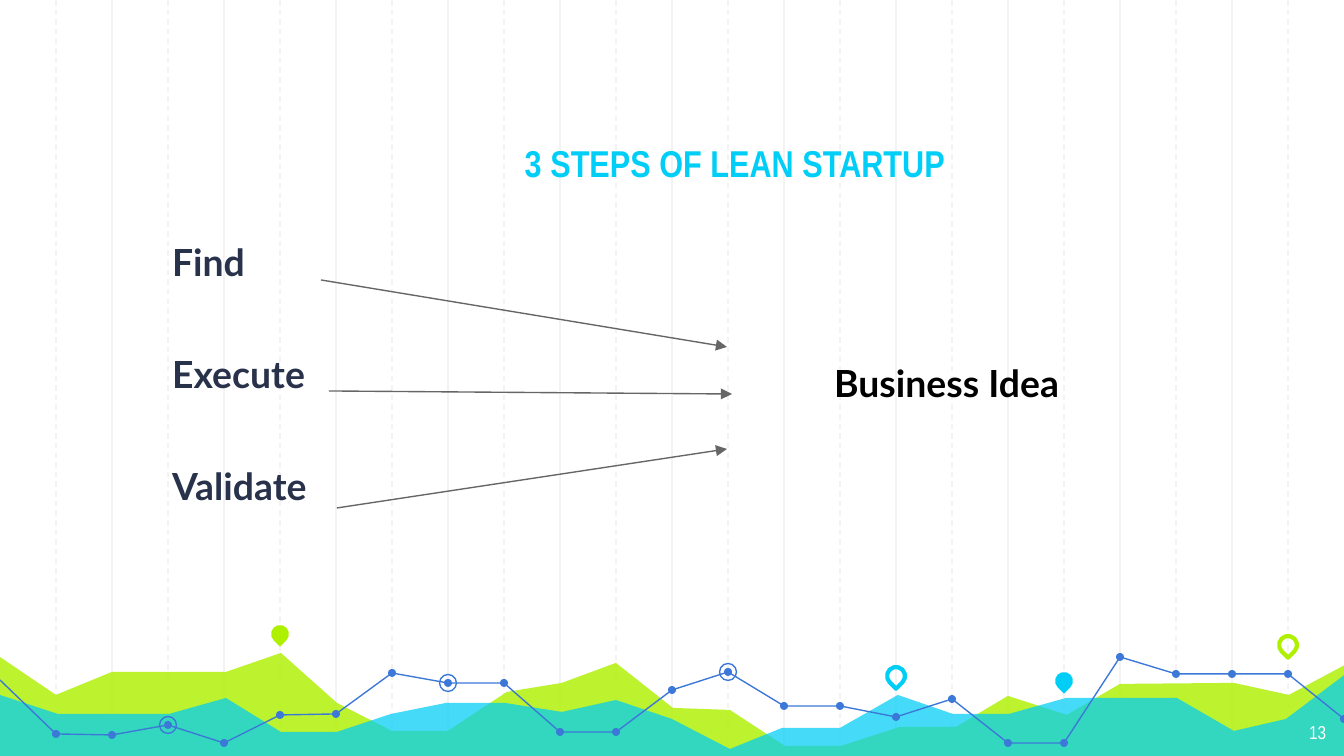
from dataclasses import dataclass

from lxml.etree import SubElement
from pptx import Presentation
from pptx.dml.color import RGBColor
from pptx.enum.dml import MSO_LINE
from pptx.enum.shapes import MSO_CONNECTOR, MSO_SHAPE
from pptx.enum.text import MSO_ANCHOR, PP_ALIGN
from pptx.oxml.ns import qn
from pptx.util import Pt

WIDTH, HEIGHT = 1344, 756
EMU_PER_PX = 9144000 / WIDTH
STEP = 56  # distance between grid lines
INSET = 13


def px(length):
    return round(length * EMU_PER_PX)


@dataclass(frozen=True)
class Theme:
    lime: str = "AFF000"
    cyan: str = "00CEF6"
    blue: str = "3C78D8"
    navy: str = "28324A"
    black: str = "000000"
    white: str = "FFFFFF"
    grid: str = "F3F3F3"
    arrow: str = "666666"
    title_font: str = "Arial Narrow"
    body_font: str = "Lato"
    body_size: int = 20
    number_size: int = 10
    thin: float = 0.75
    thick: float = 2.25


class SlideBuilder:
    def __init__(self, slide, theme):
        self.slide = slide
        self.theme = theme

    def paint(self, shape, fill=None, line=None, width=0.75, opacity=100):
        shape.shadow.inherit = False
        if fill:
            shape.fill.solid()
            shape.fill.fore_color.rgb = RGBColor.from_string(fill)
            if opacity < 100:
                color = shape.fill._xPr.find(qn("a:solidFill"))[0]
                SubElement(color, qn("a:alpha"), val=str(opacity * 1000))
        else:
            shape.fill.background()
        if line:
            shape.line.color.rgb = RGBColor.from_string(line)
            shape.line.width = Pt(width)
        else:
            shape.line.fill.background()

    def line(self, start, end, color, dashed=False, arrow=False):
        connector = self.slide.shapes.add_connector(
            MSO_CONNECTOR.STRAIGHT, *map(px, start + end))
        connector.line.color.rgb = RGBColor.from_string(color)
        connector.line.width = Pt(self.theme.thin)
        if dashed:
            connector.line.dash_style = MSO_LINE.DASH
        if arrow:
            SubElement(connector.line._get_or_add_ln(), qn("a:tailEnd"), type="triangle")
        SubElement(connector._element.spPr, qn("a:effectLst"))

    def freeform(self, points, closed, **style):
        builder = self.slide.shapes.build_freeform(*points[0], scale=EMU_PER_PX)
        builder.add_line_segments(points[1:], close=closed)
        self.paint(builder.convert_to_shape(), **style)

    def marker(self, kind, center, size, rotation=0, **style):
        x, y = center
        shape = self.slide.shapes.add_shape(
            kind, px(x - size / 2), px(y - size / 2), px(size), px(size))
        shape.rotation = rotation
        self.paint(shape, **style)

    def text(self, box, lines, font, size, color, bold=True, align=PP_ALIGN.LEFT,
             anchor=MSO_ANCHOR.TOP, indent=0, gap=0):
        """Write one paragraph per line; indent widens the left inset, gap is in points."""
        frame = self.slide.shapes.add_textbox(*map(px, box)).text_frame
        frame.word_wrap = True
        frame.vertical_anchor = anchor
        frame.margin_left = px(INSET + indent)
        frame.margin_right = frame.margin_top = frame.margin_bottom = px(INSET)
        frame.text = "\n".join(lines)
        for index, paragraph in enumerate(frame.paragraphs):
            paragraph.alignment = align
            paragraph.space_before = Pt(gap if index else 0)
            paragraph.font.name = font
            paragraph.font.size = Pt(size)
            paragraph.font.bold = bold
            paragraph.font.color.rgb = RGBColor.from_string(color)


LIME_AREA = [
    (-3, 655), (56, 695), (112, 672), (226, 672), (281, 653), (337, 703), (392, 731),
    (448, 731), (507, 692), (562, 683), (616, 663), (673, 708), (730, 710), (785, 746),
    (841, 746), (900, 727), (956, 727), (1008, 696), (1067, 715), (1120, 684),
    (1234, 683), (1289, 695), (1347, 664), (1345, 758), (-4, 758)]
CYAN_AREA = [
    (-3, 694), (58, 714), (169, 714), (226, 698), (281, 732), (337, 732), (391, 714),
    (446, 703), (505, 703), (562, 712), (616, 700), (672, 719), (730, 749), (782, 728),
    (840, 728), (898, 695), (953, 714), (1009, 714), (1066, 698), (1177, 698),
    (1234, 731), (1286, 719), (1347, 673), (1347, 759), (-4, 759)]
TREND_HEIGHTS = [
    680, 734, 735, 725, 743, 715, 714, 673, 683, 683, 732, 732, 690,
    672, 706, 706, 717, 699, 743, 743, 657, 674, 674, 674, 719]
ARROWS = [((329, 391), (732, 394)), ((321, 280), (727, 347)), ((337, 508), (727, 449))]


def draw_background(builder):
    theme = builder.theme
    for first, dashed in ((2 * STEP, False), (STEP, True)):
        for x in range(first, WIDTH, 2 * STEP):
            builder.line((x, 0), (x, 759), theme.grid, dashed=dashed)

    builder.freeform(LIME_AREA, True, fill=theme.lime, opacity=82)
    builder.freeform(CYAN_AREA, True, fill=theme.cyan, opacity=73)

    trend = [(index * STEP, y) for index, y in enumerate(TREND_HEIGHTS)]
    for first, last in ((0, 11), (11, 20), (20, 24)):
        builder.freeform(trend[first:last + 1], False, line=theme.blue, width=theme.thin)
    for point in trend[1:]:
        builder.marker(MSO_SHAPE.OVAL, point, 8, fill=theme.blue)
    for index in (3, 8, 13):
        builder.marker(MSO_SHAPE.OVAL, trend[index], 17, line=theme.blue, width=theme.thin)

    pins = [
        (5, 634, {"fill": theme.lime}),
        (16, 676, {"line": theme.cyan, "width": theme.thick}),
        (19, 681, {"fill": theme.cyan}),
        (23, 645, {"line": theme.lime, "width": theme.thick})]
    for column, y, style in pins:
        builder.marker(MSO_SHAPE.TEAR, (column * STEP, y), 18, rotation=135, **style)


def draw_content(builder):
    theme = builder.theme
    builder.text((155, 93, 1028, 105), ["3 STEPS OF LEAN STARTUP"], theme.title_font,
                 theme.body_size, theme.cyan, align=PP_ALIGN.CENTER,
                 anchor=MSO_ANCHOR.BOTTOM, indent=132)
    builder.text((159, 226, 442, 335), ["Find", "Execute", "Validate"], theme.body_font,
                 theme.body_size, theme.navy, gap=36)
    builder.text((1258, 710, 81, 47), ["13"], theme.title_font, theme.number_size,
                 theme.white, bold=False, align=PP_ALIGN.RIGHT)
    builder.text((821, 347, 419, 63), ["Business Idea"], theme.body_font,
                 theme.body_size, theme.black)
    for start, end in ARROWS:
        builder.line(start, end, theme.arrow, arrow=True)


def main():
    presentation = Presentation()
    presentation.slide_width = px(WIDTH)
    presentation.slide_height = px(HEIGHT)
    slide = presentation.slides.add_slide(presentation.slide_layouts[6])
    builder = SlideBuilder(slide, Theme())
    draw_background(builder)
    draw_content(builder)
    presentation.save("out.pptx")


if __name__ == "__main__":
    main()
